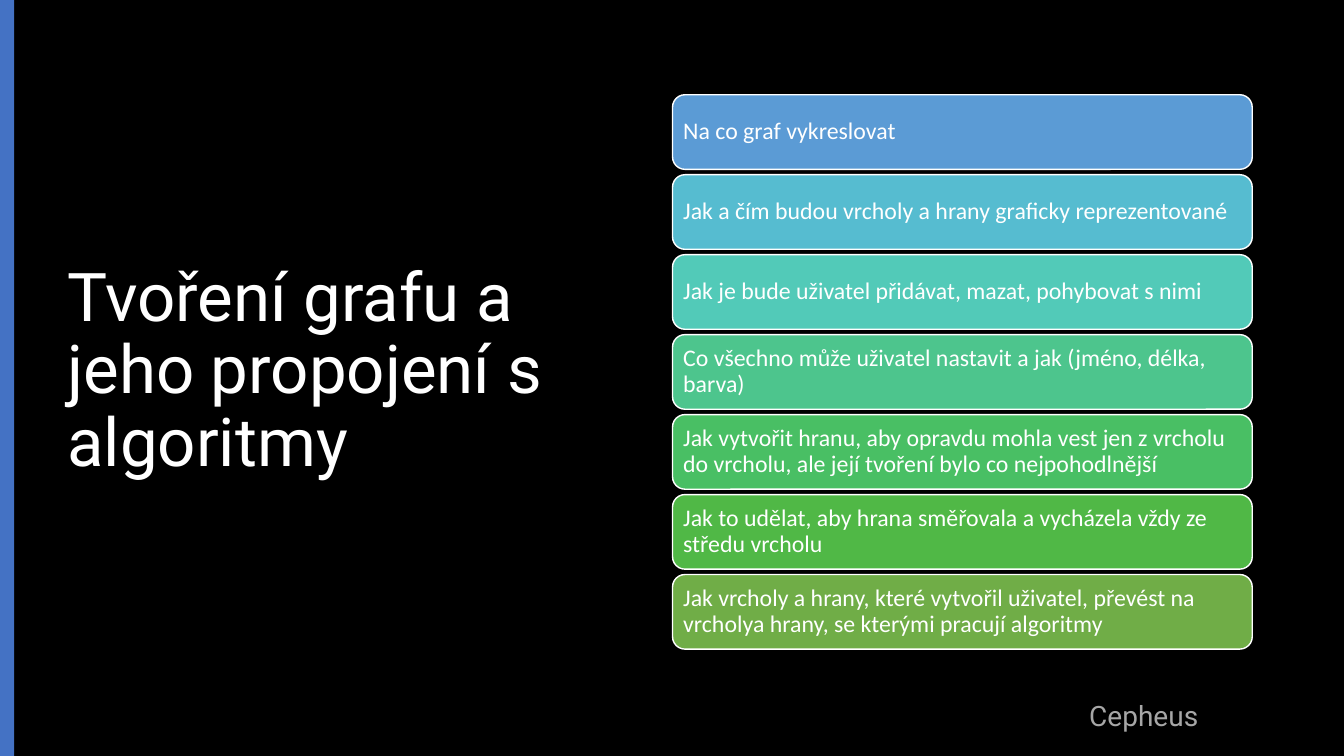
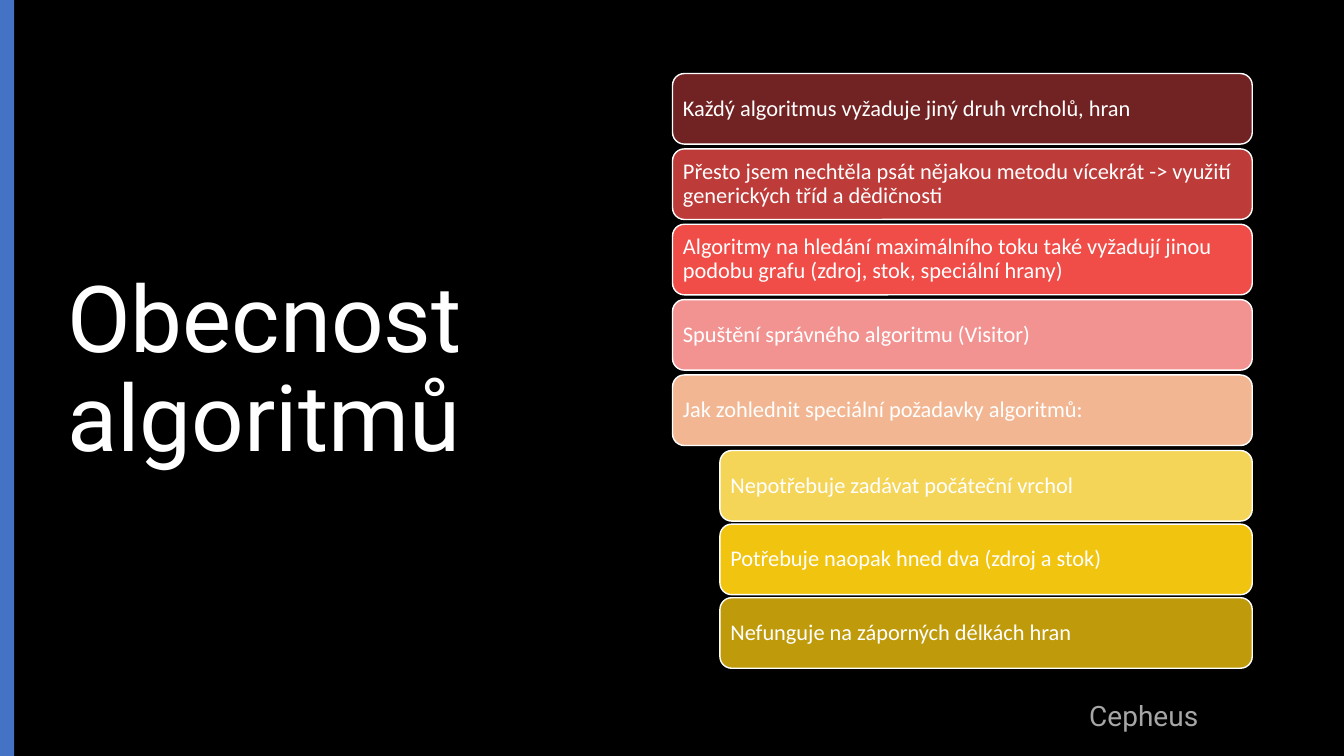
import pptx
import pptx.util
import pptx.dml.color
import pptx.enum.shapes
import pptx.enum.text

Inches = pptx.util.Inches
Shape = pptx.enum.shapes.MSO_SHAPE
Align = pptx.enum.text.PP_ALIGN
Anchor = pptx.enum.text.MSO_ANCHOR

BLACK, WHITE, BLUE, GREY = "000000", "FFFFFF", "4472C4", "A6A6A6"
HEADING_FONT, BODY_FONT = "Roboto", "Calibri"
FOOTER = "Cepheus"
CARD_RIGHT = 12.42

SLIDES = [
    {
        "title": "Tvoření grafu a jeho propojení s algoritmy",
        "title_size": 48,
        "card_size": 17,
        "card_height": 0.74,
        "groups": [
            {
                "left": 6.67, "first_top": 0.94, "last_top": 5.7,
                "cards": [
                    ("Na co graf vykreslovat", "5B9BD5"),
                    ("Jak a čím budou vrcholy a hrany graficky reprezentované", "56BCD0"),
                    ("Jak je bude uživatel přidávat, mazat, pohybovat s nimi", "52CAB8"),
                    ("Co všechno může uživatel nastavit a jak (jméno, délka, barva)", "4DC58D"),
                    ("Jak vytvořit hranu, aby opravdu mohla vest jen z vrcholu do vrcholu, "
                     "ale její tvoření bylo co nejpohodlnější", "49BF64"),
                    ("Jak to udělat, aby hrana směřovala a vycházela vždy ze středu vrcholu", "50B846"),
                    ("Jak vrcholy a hrany, které vytvořil uživatel, převést na vrcholya hrany, "
                     "se kterými pracují algoritmy", "70AD47"),
                ],
            },
        ],
    },
    {
        "title": "Obecnost algoritmů",
        "title_size": 66,
        "card_size": 16,
        "card_height": 0.7,
        "groups": [
            {
                "left": 6.67, "first_top": 0.73, "last_top": 3.72,
                "cards": [
                    ("Každý algoritmus vyžaduje jiný druh vrcholů, hran", "702322"),
                    ("Přesto jsem nechtěla psát nějakou metodu vícekrát -> využití "
                     "generických tříd a dědičnosti", "BD3B39"),
                    ("Algoritmy na hledání maximálního toku také vyžadují jinou podobu grafu "
                     "(zdroj, stok, speciální hrany)", "F04C48"),
                    ("Spuštění správného algoritmu (Visitor)", "F29391"),
                    ("Jak zohlednit speciální požadavky algoritmů:", "F2B792"),
                ],
            },
            {
                "left": 7.14, "first_top": 4.47, "last_top": 5.93,
                "cards": [
                    ("Nepotřebuje zadávat počáteční vrchol", "F4D558"),
                    ("Potřebuje naopak hned dva (zdroj a stok)", "F1C40F"),
                    ("Nefunguje na záporných délkách hran", "BF9B0B"),
                ],
            },
        ],
    },
]


def paint(target, color):
    target.solid()
    target.fore_color.rgb = pptx.dml.color.RGBColor.from_string(color)


def write(box, text, size, font, color, align=Align.LEFT, anchor=Anchor.MIDDLE, spacing=0.9):
    frame = box.text_frame
    frame.word_wrap = True
    frame.vertical_anchor = anchor
    para = frame.paragraphs[0]
    para.text = text
    para.alignment = align
    para.line_spacing = spacing
    para.font.size = pptx.util.Pt(size)
    para.font.name = font
    paint(para.font.fill, color)


def add_block(page, kind, place, color):
    block = page.shapes.add_shape(kind, *map(Inches, place))
    block.shadow.inherit = False
    paint(block.fill, color)
    block.line.fill.background()
    return block


def add_text(page, place, *style, **layout):
    write(page.shapes.add_textbox(*map(Inches, place)), *style, **layout)


def add_card(page, place, text, size, color):
    card = add_block(page, Shape.ROUNDED_RECTANGLE, place, color)
    paint(card.line.fill, WHITE)
    card.line.width = pptx.util.Pt(1)
    frame = card.text_frame
    frame.margin_left = frame.margin_right = Inches(0.07)
    frame.margin_top = frame.margin_bottom = Inches(0.07)
    write(card, text, size, BODY_FONT, WHITE)


def add_cards(page, group, height, size):
    cards, left, first = group["cards"], group["left"], group["first_top"]
    pitch = (group["last_top"] - first) / (len(cards) - 1)
    for row, (text, color) in enumerate(cards):
        place = (left, first + row * pitch, CARD_RIGHT - left, height)
        add_card(page, place, text, size, color)


def add_page(deck, content):
    page = deck.slides.add_slide(deck.slide_layouts[6])
    add_text(page, (0.57, 0.68, 5.67, 6.02), content["title"], content["title_size"],
             HEADING_FONT, WHITE)
    add_block(page, Shape.RECTANGLE, (0, 0, 0.14, 7.5), BLUE)
    add_text(page, (10.53, 6.88, 1.63, 0.44), FOOTER, 20, HEADING_FONT, GREY,
             align=Align.CENTER, anchor=Anchor.TOP, spacing=1.0)
    for group in content["groups"]:
        add_cards(page, group, content["card_height"], content["card_size"])


def main():
    deck = pptx.Presentation()
    deck.slide_width, deck.slide_height = Inches(13.33), Inches(7.5)
    paint(deck.slide_master.background.fill, BLACK)
    for content in SLIDES:
        add_page(deck, content)
    deck.save("out.pptx")


if __name__ == "__main__":
    main()
